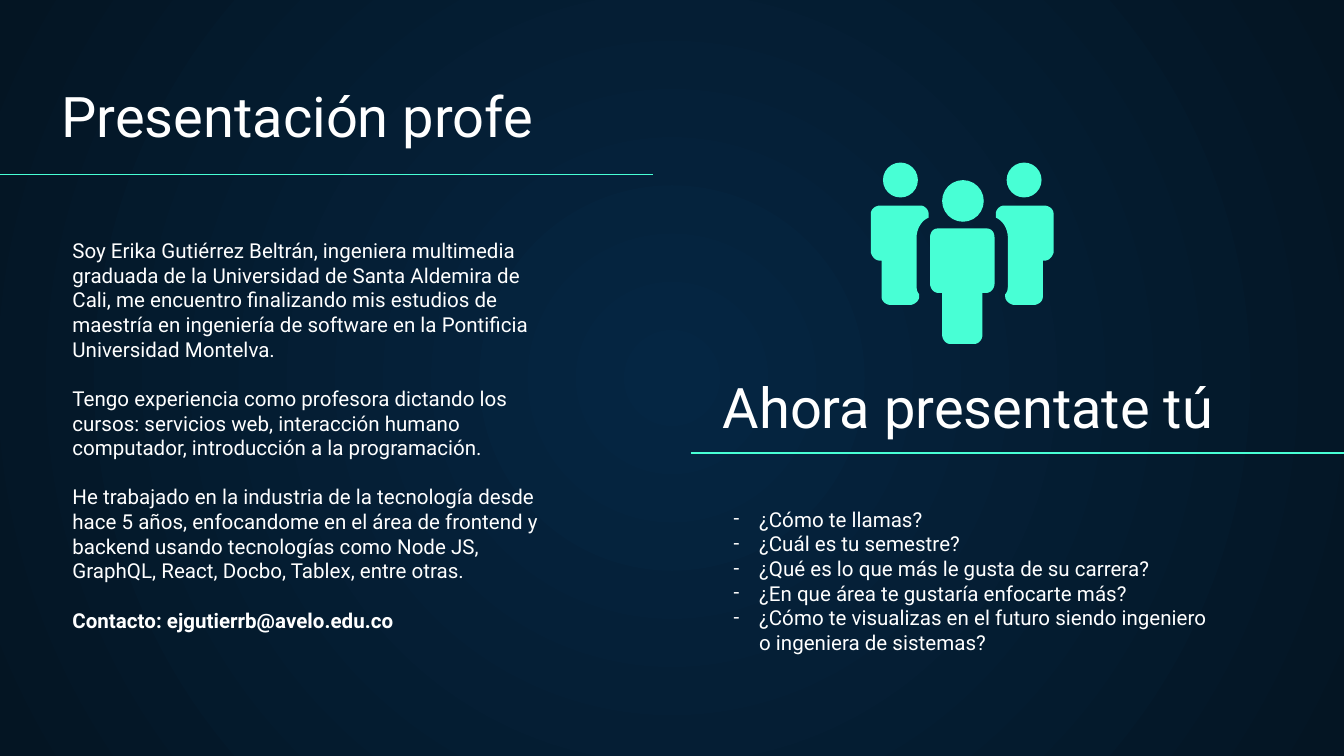
"""Build a slide with a teacher's introduction and questions for the students."""
from pptx import Presentation
from pptx.dml.color import RGBColor
from pptx.enum.shapes import MSO_CONNECTOR, MSO_SHAPE
from pptx.enum.text import MSO_ANCHOR
from pptx.oxml.ns import qn
from pptx.oxml.xmlchemy import OxmlElement
from pptx.util import Inches, Pt

WHITE = RGBColor(0xFF, 0xFF, 0xFF)
MINT = RGBColor(0x48, 0xFF, 0xD5)
NAVY = RGBColor(0x05, 0x26, 0x43)
DARK = RGBColor(0x04, 0x15, 0x23)
TOP, BOTTOM = MSO_ANCHOR.TOP, MSO_ANCHOR.BOTTOM
STRAIGHT, OVAL = MSO_CONNECTOR.STRAIGHT, MSO_SHAPE.OVAL
FONT = "Roboto"
ICON_CENTER = 7.16

INTRO = [
    "Soy Erika Gutiérrez Beltrán, ingeniera multimedia graduada de la "
    "Universidad de Santa Aldemira de Cali, me encuentro finalizando mis "
    "estudios de maestría en ingeniería de software en la Pontificia "
    "Universidad Montelva.",
    "Tengo experiencia como profesora dictando los cursos: servicios web, "
    "interacción humano computador, introducción a la programación.",
    "He trabajado en la industria de la tecnología desde hace 5 años, "
    "enfocandome en el área de frontend y backend usando tecnologías como "
    "Node JS, GraphQL, React, Docbo, Tablex, entre otras.",
]
CONTACT = "Contacto: ejgutierrb@avelo.edu.co"
QUESTIONS = [
    "¿Cómo te llamas?",
    "¿Cuál es tu semestre?",
    "¿Qué es lo que más le gusta de su carrera?",
    "¿En que área te gustaría enfocarte más?",
    "¿Cómo te visualizas en el futuro siendo ingeniero o ingeniera de sistemas?",
]
HEADS = [(6.57, 1.21, 0.26), (7.49, 1.21, 0.26), (7.01, 1.34, 0.31)]
SIDE_BODY = [
    (6.55, 1.53), (6.51, 1.53, 6.48, 1.56, 6.48, 1.59), (6.48, 1.88),
    (6.49, 1.91, 6.51, 1.94, 6.55, 1.94), (6.56, 1.94), (6.56, 2.21),
    (6.56, 2.24, 6.59, 2.27, 6.63, 2.27), (6.77, 2.27),
    (6.8, 2.27, 6.84, 2.24, 6.84, 2.21), (6.84, 2.19),
    (6.82, 2.17, 6.82, 2.14, 6.82, 2.11), (6.82, 1.77),
    (6.82, 1.7, 6.86, 1.64, 6.91, 1.62), (6.91, 1.59),
    (6.91, 1.56, 6.88, 1.53, 6.85, 1.53),
]
FRONT_HALF = [
    (7.16, 1.7), (6.98, 1.7), (6.94, 1.7, 6.92, 1.73, 6.92, 1.77),
    (6.92, 2.11), (6.92, 2.15, 6.95, 2.18, 6.98, 2.18), (7.01, 2.18),
    (7.01, 2.49), (7.01, 2.53, 7.04, 2.56, 7.07, 2.56), (7.16, 2.56),
]


def add_element(parent, tag, **attributes):
    """Append an XML element with attributes."""
    element = OxmlElement(tag)
    for name, value in attributes.items():
        element.set(name, str(value))
    parent.append(element)
    return element


def set_background(s):
    """Fill the background with a radial gradient."""
    fill = s.background.fill
    fill.gradient()
    for stop, color, position in zip(fill.gradient_stops, (NAVY, DARK), (0, 1)):
        stop.color.rgb = color
        stop.position = position
    grad = s._element.find(".//" + qn("a:gradFill"))
    grad.remove(grad.find(qn("a:lin")))
    radial = add_element(grad, "a:path", path="circle")
    add_element(radial, "a:fillToRect", l=50000, t=50000, r=50000, b=50000)


def add_dash(p):
    """Give a paragraph a hanging dash bullet."""
    pPr = p._p.get_or_add_pPr()
    pPr.set("marL", str(Inches(0.19)))
    pPr.set("indent", str(-Inches(0.19)))
    color = add_element(pPr, "a:buClr")
    add_element(color, "a:srgbClr", val=WHITE)
    add_element(pPr, "a:buFont", typeface=FONT)
    add_element(pPr, "a:buChar", char="-")


def add_text(s, box, lines, size=11, anchor=TOP, gap=0, dash=False, bold_last=False):
    """Add a text box with one paragraph per line."""
    tf = s.shapes.add_textbox(*map(Inches, box)).text_frame
    tf.word_wrap = True
    tf.vertical_anchor = anchor
    tf.margin_left = tf.margin_right = Inches(0.1)
    tf.margin_top = tf.margin_bottom = Inches(0.1)
    for i, line in enumerate(lines):
        p = tf.paragraphs[0] if i == 0 else tf.add_paragraph()
        if i and gap:
            p.space_before = Pt(gap)
        if dash:
            add_dash(p)
        r = p.add_run()
        r.text = line
        r.font.name = FONT
        r.font.size = Pt(size)
        r.font.color.rgb = WHITE
        if bold_last and i == len(lines) - 1:
            r.font.bold = True


def add_rule(s, left, right, y):
    """Add a thin horizontal line."""
    sp = s.shapes.add_connector(
        STRAIGHT, Inches(left), Inches(y), Inches(right), Inches(y))
    sp.line.color.rgb = MINT
    sp.line.width = Pt(0.75)
    add_element(sp._element.spPr, "a:effectLst")


def paint(sp):
    """Make a shape plain mint."""
    sp.shadow.inherit = False
    sp.fill.solid()
    sp.fill.fore_color.rgb = MINT
    sp.line.fill.background()


def flatten(outline, steps=8):
    """Turn points and cubic curves into a list of points."""
    points = []
    for part in outline:
        if len(part) == 2:
            points.append(part)
            continue
        x0, y0 = points[-1]
        x1, y1, x2, y2, x3, y3 = part
        for i in range(1, steps + 1):
            t = i / steps
            a, b, c, d = (1 - t) ** 3, 3 * t * (1 - t) ** 2, 3 * t * t * (1 - t), t ** 3
            points.append((a * x0 + b * x1 + c * x2 + d * x3,
                           a * y0 + b * y1 + c * y2 + d * y3))
    return points


def mirror(points):
    """Reflect points across the middle of the icon."""
    return [(2 * ICON_CENTER - x, y) for x, y in points]


def add_body(s, points):
    """Add a closed body outline."""
    start, *rest = [(Inches(x), Inches(y)) for x, y in points]
    builder = s.shapes.build_freeform(*start)
    builder.add_line_segments(rest, close=True)
    paint(builder.convert_to_shape())


def add_people(s):
    """Add the icon of three people."""
    for x, y, d in HEADS:
        paint(s.shapes.add_shape(OVAL, Inches(x), Inches(y), Inches(d), Inches(d)))
    side, half = flatten(SIDE_BODY), flatten(FRONT_HALF)
    for points in (side, mirror(side), half + mirror(half)[::-1]):
        add_body(s, points)


def main():
    """Build and save the slide."""
    prs = Presentation()
    prs.slide_width = Inches(10)
    prs.slide_height = Inches(10) * 9 // 16
    s = prs.slides.add_slide(prs.slide_layouts[6])
    set_background(s)
    add_text(s, (0.36, 0.55, 3.86, 0.66), ["Presentación profe"], size=30, anchor=BOTTOM)
    add_text(s, (0.44, 1.67, 3.78, 2.81), INTRO + [CONTACT], gap=13.2, bold_last=True)
    add_rule(s, 0, 4.86, 1.3)
    add_rule(s, 5.14, 10, 3.37)
    add_text(s, (5.28, 2.71, 4.2, 0.66), ["Ahora presentate tú"], size=30, anchor=BOTTOM)
    add_text(s, (5.36, 3.67, 3.78, 1.46), QUESTIONS, dash=True)
    add_people(s)
    prs.save("out.pptx")


main()
